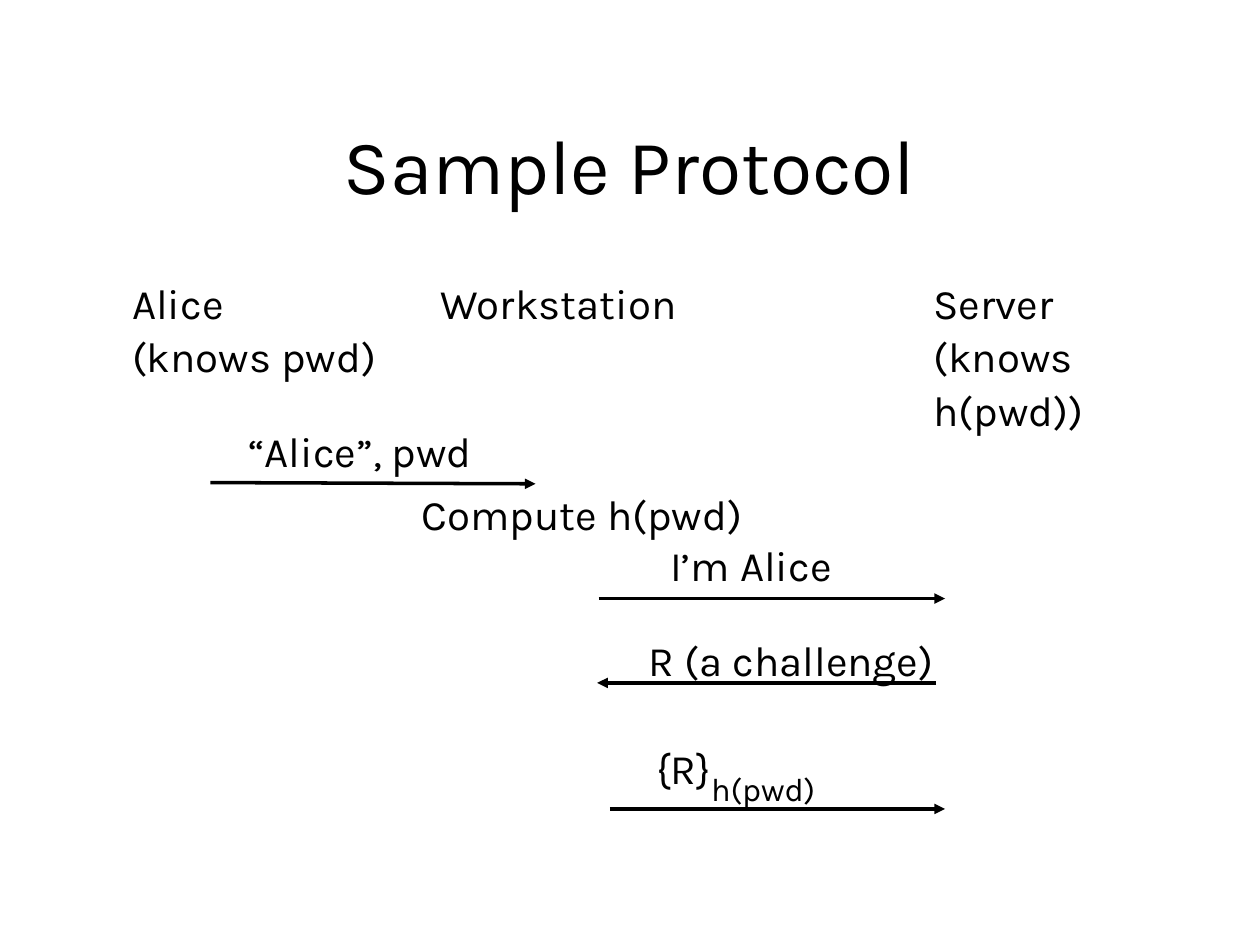
from lxml import etree
from pptx import Presentation
from pptx.dml.color import RGBColor
from pptx.enum.shapes import MSO_CONNECTOR
from pptx.enum.text import MSO_ANCHOR, MSO_AUTO_SIZE, PP_ALIGN
from pptx.oxml.ns import qn
from pptx.util import Inches, Pt

BLACK = RGBColor(0, 0, 0)
FONT = "Karla"
STRAIGHT = MSO_CONNECTOR.STRAIGHT
MIDDLE = MSO_ANCHOR.MIDDLE
CENTER = PP_ALIGN.CENTER
NO_FIT = MSO_AUTO_SIZE.NONE
GROW = MSO_AUTO_SIZE.SHAPE_TO_FIT_TEXT
TITLE_ONLY = 5
LINE_H = 0.51
TWO_LINE_H = 0.93
COLUMN_TOP = 2.15


def style_run(r, size):
    r.font.name = FONT
    r.font.size = Pt(size)
    r.font.color.rgb = BLACK


def place_title(s, text, left, top, width, height):
    sp = s.shapes.title
    sp.left, sp.top = Inches(left), Inches(top)
    sp.width, sp.height = Inches(width), Inches(height)
    tf = sp.text_frame
    tf.text = text
    tf.auto_size = NO_FIT
    tf.vertical_anchor = MIDDLE
    p = tf.paragraphs[0]
    p.alignment = CENTER
    p.line_spacing = 1.01
    style_run(p.runs[0], 44)


def add_label(s, text, left, top, width, height=LINE_H, wrap=False):
    sp = s.shapes.add_textbox(Inches(left), Inches(top), Inches(width), Inches(height))
    tf = sp.text_frame
    tf.text = text
    tf.word_wrap = wrap
    tf.auto_size = GROW
    for i, p in enumerate(tf.paragraphs):
        p.line_spacing = 1.06 if i else 1.01
        style_run(p.runs[0], 24)
    return tf


def add_subscript(tf, text):
    r = tf.paragraphs[0].add_run()
    r.text = text
    style_run(r, 32)
    r.font._element.set("baseline", "-30000")


def add_arrow(s, x1, y1, x2, y2):
    arrow = s.shapes.add_connector(STRAIGHT, Inches(x1), Inches(y1), Inches(x2), Inches(y2))
    arrow.line.color.rgb = BLACK
    arrow.line.width = Pt(2)
    etree.SubElement(arrow.line._get_or_add_ln(), qn("a:tailEnd"), type="triangle")
    etree.SubElement(arrow._element.spPr, qn("a:effectLst"))


def add_parties(s, top):
    add_label(s, "Alice\n(knows pwd)", 0.95, top, 2.17, TWO_LINE_H)
    add_label(s, "Workstation", 3.4, top, 2.11)
    add_label(s, "Server\n(knows h(pwd))", 7.31, top, 2.5, TWO_LINE_H, wrap=True)


def add_messages(s):
    labels = [
        ("“Alice”, pwd", 1.87, 3.32, 2.02),
        ("Compute h(pwd)", 3.25, 3.82, 2.81),
        ("I’m Alice", 5.22, 4.23, 1.51),
        ("R (a challenge)", 5.05, 4.98, 2.48),
    ]
    for label in labels:
        add_label(s, *label)
    response = add_label(s, "{R}", 5.11, 5.73, 1.49, 0.74)
    add_subscript(response, "h(pwd)")

    arrows = [
        (1.67, 3.83, 4.25, 3.84),
        (4.75, 4.75, 7.5, 4.75),
        (7.43, 5.42, 4.74, 5.42),
        (4.84, 6.42, 7.5, 6.42),
    ]
    for arrow in arrows:
        add_arrow(s, *arrow)


def main():
    prs = Presentation()
    prs.slide_width, prs.slide_height = Inches(10), Inches(7.5)
    s = prs.slides.add_slide(prs.slide_layouts[TITLE_ONLY])
    place_title(s, "Sample Protocol", 0.75, 0.67, 8.5, 1.25)
    add_parties(s, COLUMN_TOP)
    add_messages(s)
    prs.save("out.pptx")


if __name__ == "__main__":
    main()
